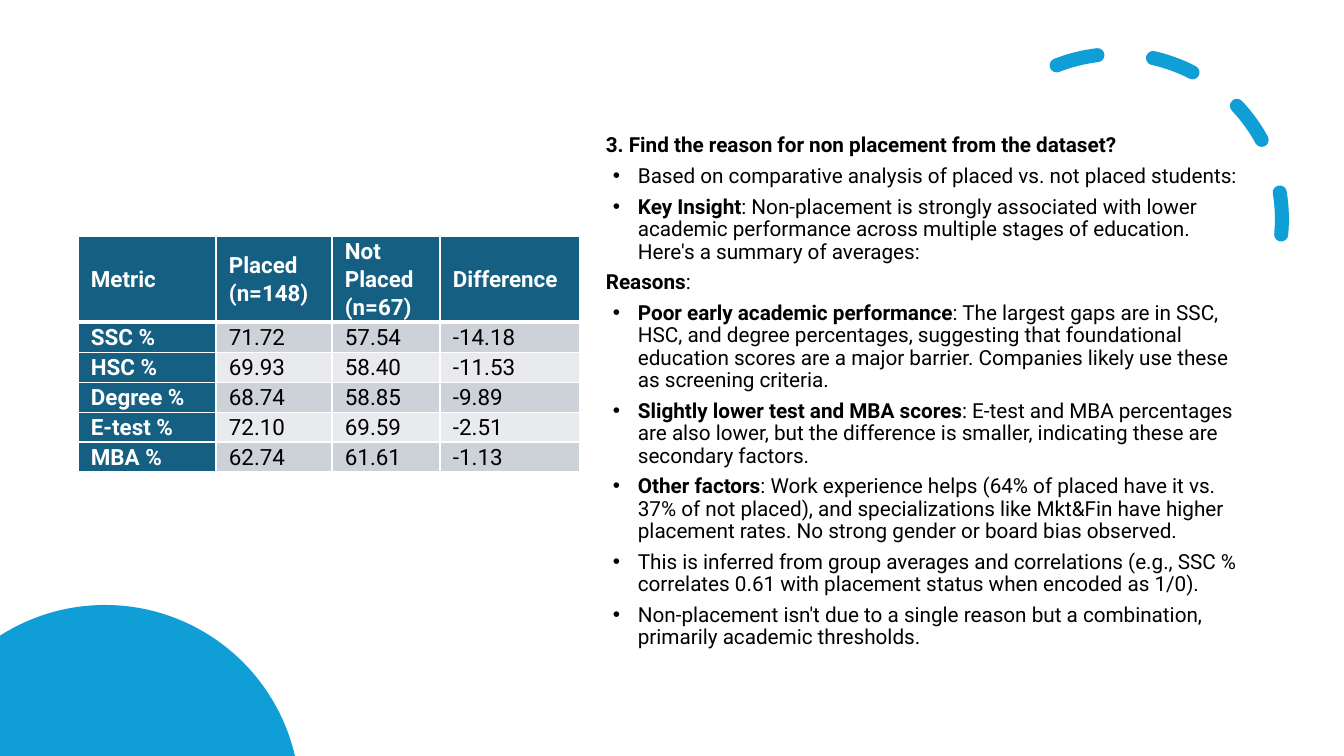
import math

from lxml import etree
from pptx import Presentation
from pptx.dml.color import RGBColor
from pptx.enum.dml import MSO_LINE
from pptx.enum.shapes import MSO_SHAPE
from pptx.enum.text import MSO_ANCHOR
from pptx.oxml.ns import qn
from pptx.util import Emu, Pt

ARC = MSO_SHAPE.ARC
DASH = MSO_LINE.DASH
TOP, MIDDLE = MSO_ANCHOR.TOP, MSO_ANCHOR.MIDDLE

EMU_PER_PX = 914400 / 100.8
WIDTH, HEIGHT = 1344, 756
WHITE, BLACK, BLUE, TEAL = "FFFFFF", "000000", "0F9ED5", "156082"
BANDS = ("CCD2D8", "E8EAED")

COLUMNS = (138, 116, 108, 140)
HEADER_HEIGHT, ROW_HEIGHT = 83, 30
AVERAGES = [
    ("Metric", "Placed (n=148)", "Not Placed (n=67)", "Difference"),
    ("SSC %", "71.72", "57.54", "-14.18"),
    ("HSC %", "69.93", "58.40", "-11.53"),
    ("Degree %", "68.74", "58.85", "-9.89"),
    ("E-test %", "72.10", "69.59", "-2.51"),
    ("MBA %", "62.74", "61.61", "-1.13"),
]

# Each entry: bulleted, bold lead, regular remainder
FINDINGS = [
    (False, "3. Find the reason for non placement from the dataset?", ""),
    (True, "", "Based on comparative analysis of placed vs. not placed students:"),
    (True, "Key Insight", ": Non-placement is strongly associated with lower academic "
     "performance across multiple stages of education. Here's a summary of averages:"),
    (False, "Reasons", ":"),
    (True, "Poor early academic performance", ": The largest gaps are in SSC, HSC, and "
     "degree percentages, suggesting that foundational education scores are a major "
     "barrier. Companies likely use these as screening criteria."),
    (True, "Slightly lower test and MBA scores", ": E-test and MBA percentages are also "
     "lower, but the difference is smaller, indicating these are secondary factors."),
    (True, "Other factors", ": Work experience helps (64% of placed have it vs. 37% of not "
     "placed), and specializations like Mkt&Fin have higher placement rates. No strong "
     "gender or board bias observed."),
    (True, "", "This is inferred from group averages and correlations (e.g., SSC % "
     "correlates 0.61 with placement status when encoded as 1/0)."),
    (True, "", "Non-placement isn't due to a single reason but a combination, primarily "
     "academic thresholds."),
]


def px(n):
    return Emu(round(n * EMU_PER_PX))


def rgb(value):
    return RGBColor.from_string(value)


class SlideBuilder:
    """Draws elements in one shared style on the current slide."""

    font = "Roboto"

    def __init__(self, slide):
        self.slide = slide
        self.shapes = slide.shapes

    def style(self, p, size, color, spacing, after):
        p.font.name = self.font
        p.font.size = Pt(size)
        p.font.color.rgb = rgb(color)
        p.line_spacing = spacing
        p.space_after = Pt(after)

    def dashed_arc(self, x, y, size, start, end, rotation, color, weight):
        sp = self.shapes.add_shape(ARC, px(x), px(y), px(size), px(size))
        sp.shadow.inherit = False
        sp.adjustments[0], sp.adjustments[1] = start, end
        sp.rotation = rotation
        sp._element.spPr.find(qn("a:xfrm")).set("flipH", "1")
        sp.fill.background()
        sp.line.color.rgb = rgb(color)
        sp.line.width = Pt(weight)
        sp.line.dash_style = DASH
        sp._element.spPr.find(qn("a:ln")).set("cap", "rnd")

    def corner_disc(self, cx, cy, radius, color, steps=90):
        start = math.pi + math.acos(cx / radius)
        end = 2 * math.pi - math.asin((cy - HEIGHT) / radius)
        angles = [start + (end - start) * i / steps for i in range(steps + 1)]
        points = [(px(cx + radius * math.cos(a)), px(cy + radius * math.sin(a)))
                  for a in angles]
        builder = self.shapes.build_freeform(0, px(HEIGHT))
        builder.add_line_segments(points, close=True)
        sp = builder.convert_to_shape()
        sp.shadow.inherit = False
        sp.fill.solid()
        sp.fill.fore_color.rgb = rgb(color)
        sp.line.fill.background()

    def bullet(self, p):
        pPr = p._p.get_or_add_pPr()
        pPr.set("marL", str(px(32)))
        pPr.set("indent", str(-px(25)))
        font = etree.Element(qn("a:buFont"), typeface="Arial")
        char = etree.Element(qn("a:buChar"), char="•")
        default = pPr.find(qn("a:defRPr"))
        default.addprevious(font)
        default.addprevious(char)

    def text(self, x, y, w, h, paragraphs, size, color):
        tf = self.shapes.add_textbox(px(x), px(y), px(w), px(h)).text_frame
        tf.word_wrap = True
        tf.vertical_anchor = TOP
        for i, (bulleted, lead, rest) in enumerate(paragraphs):
            p = tf.add_paragraph() if i else tf.paragraphs[0]
            self.style(p, size, color, 0.9, 6)
            if bulleted:
                self.bullet(p)
            for content, bold in ((lead, True), (rest, False)):
                if content:
                    r = p.add_run()
                    r.text = content
                    r.font.bold = bold

    def border(self, cell, side, weight):
        tcPr = cell._tc.get_or_add_tcPr()
        ln = etree.SubElement(tcPr, qn(f"a:ln{side}"), w=str(Pt(weight)))
        fill = etree.SubElement(ln, qn("a:solidFill"))
        etree.SubElement(fill, qn("a:srgbClr"), val=WHITE)

    def cell(self, cell, content, fill, color, bold, top, bottom):
        for side, weight in (("L", 1), ("R", 1), ("T", top), ("B", bottom)):
            self.border(cell, side, weight)
        cell.fill.solid()
        cell.fill.fore_color.rgb = rgb(fill)
        cell.vertical_anchor = MIDDLE
        cell.margin_left = cell.margin_right = px(13)
        cell.margin_top = cell.margin_bottom = 0
        p = cell.text_frame.paragraphs[0]
        p.text = content
        self.style(p, 16, color, 1.07, 8)
        p.font.bold = bold

    def table(self, x, y, rows, widths, header_height, row_height):
        height = header_height + row_height * (len(rows) - 1)
        table = self.shapes.add_table(len(rows), len(widths), px(x), px(y),
                                      px(sum(widths)), px(height)).table
        table.first_col = True
        for column, width in zip(table.columns, widths):
            column.width = px(width)
        for i, values in enumerate(rows):
            table.rows[i].height = px(row_height if i else header_height)
            for j, value in enumerate(values):
                heading = i == 0 or j == 0
                self.cell(table.cell(i, j), value,
                          TEAL if heading else BANDS[(i - 1) % 2],
                          WHITE if heading else BLACK, heading,
                          3 if i == 1 else 1, 1 if i else 3)


def main():
    prs = Presentation()
    prs.slide_width, prs.slide_height = px(WIDTH), px(HEIGHT)
    s = SlideBuilder(prs.slides.add_slide(prs.slide_layouts[6]))
    s.dashed_arc(952, 54, 330, 144.42, 0, 66.1, BLUE, 10)
    s.corner_disc(105, 800, 195, BLUE)
    s.text(596, 130, 655, 551, FINDINGS, 14.8, BLACK)
    s.table(78, 236, AVERAGES, COLUMNS, HEADER_HEIGHT, ROW_HEIGHT)
    prs.save("out.pptx")


if __name__ == "__main__":
    main()
